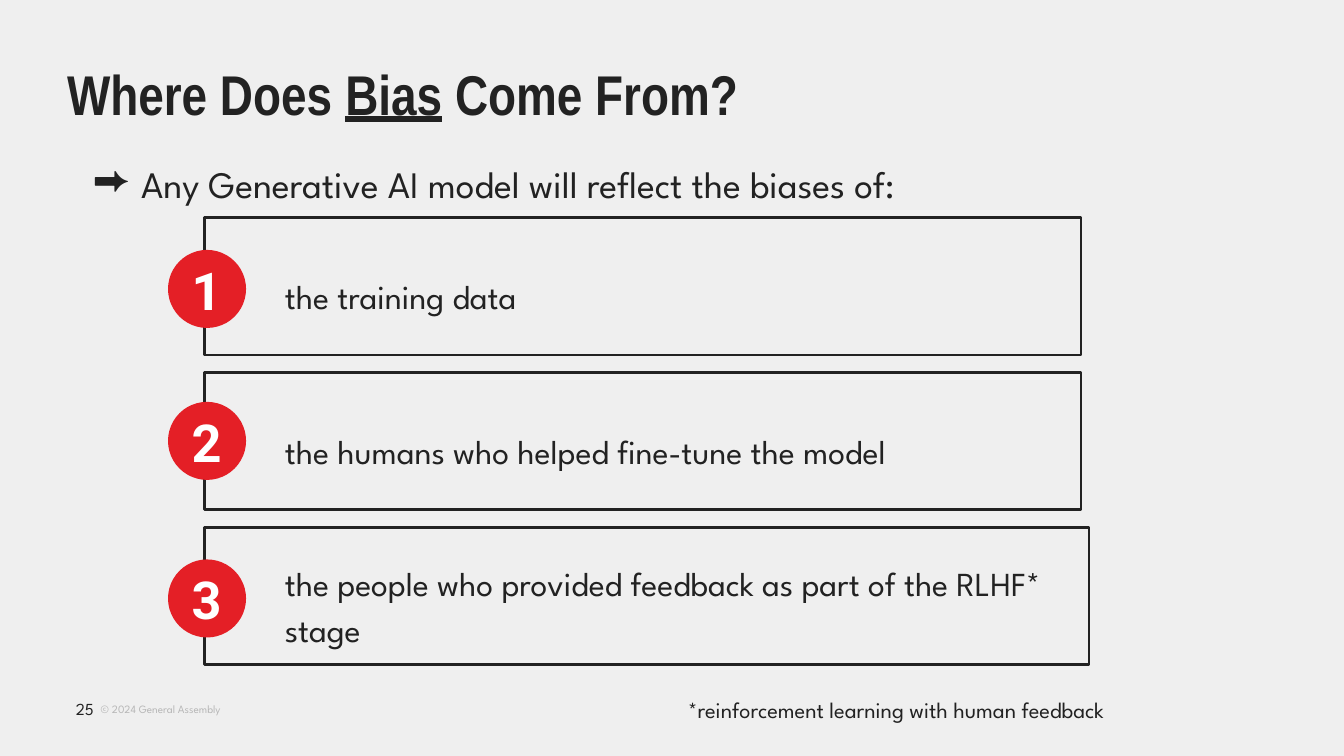
"""Build the slide on where bias in generative AI comes from."""
from lxml import etree
from pptx import Presentation
from pptx.dml.color import RGBColor
from pptx.enum.shapes import MSO_SHAPE
from pptx.enum.text import MSO_ANCHOR, PP_ALIGN
from pptx.oxml.ns import qn
from pptx.util import Pt

PAPER = RGBColor(0xEF, 0xEF, 0xEF)
INK = RGBColor(0x22, 0x22, 0x22)
GREY = RGBColor(0xB7, 0xB7, 0xB7)
RED = RGBColor(0xE4, 0x1F, 0x26)
WHITE = RGBColor(0xFF, 0xFF, 0xFF)

deck = Presentation()
deck.slide_width, deck.slide_height = Pt(720), Pt(405)
slide = deck.slides.add_slide(deck.slide_layouts[6])
slide.background.fill.solid()
slide.background.fill.fore_color.rgb = PAPER
shapes = slide.shapes


def write(text, area=None, shape=None, size=18, font="League Spartan", color=INK,
          bold=False, align=PP_ALIGN.LEFT, anchor=MSO_ANCHOR.MIDDLE, inset=(0, 0, 0, 0),
          line=None, after=None, left=0, hang=0, bullet=None):
    """Write text in a shape or a new box; parts between bars are underlined."""
    if shape is None:
        shape = shapes.add_textbox(*map(Pt, area))
    frame = shape.text_frame
    frame.word_wrap = True
    frame.vertical_anchor = anchor
    (frame.margin_left, frame.margin_top,
     frame.margin_right, frame.margin_bottom) = map(Pt, inset)
    para = frame.paragraphs[0]
    para.alignment = align
    if line:
        para.line_spacing = line
    if after:
        para.space_after = Pt(after)
    props = para._p.get_or_add_pPr()
    props.set("marL", str(Pt(left)))
    props.set("indent", str(Pt(hang)))
    if bullet:
        tint = etree.SubElement(props, qn("a:buClr"))
        etree.SubElement(tint, qn("a:srgbClr"), val=str(color))
        etree.SubElement(props, qn("a:buFont"), typeface=font)
        etree.SubElement(props, qn("a:buChar"), char=bullet)
    for i, part in enumerate(text.split("|")):
        run = para.add_run()
        run.text = part
        run.font.size, run.font.name = Pt(size), font
        run.font.bold = bold
        run.font.underline = i % 2 == 1
        run.font.color.rgb = color


write("© 2024 General Assembly", area=(54, 372.5, 72, 14.4), size=6, color=GREY)
write("Where Does |Bias| Come From?", area=(36, 36, 648, 36), size=30,
      font="Arial Narrow", bold=True, anchor=MSO_ANCHOR.TOP, line=0.9)
write("Any Generative AI model will reflect the biases of:",
      area=(39.6, 83, 594, 24.5), size=20, anchor=MSO_ANCHOR.TOP, line=1.15,
      after=10, left=36, hang=-25.9, bullet="⮕")
write("25", area=(25, 367.2, 25.2, 25.2), size=9, align=PP_ALIGN.RIGHT)
write("*reinforcement learning with human feedback", area=(361.6, 366.5, 272.2, 25.2),
      size=12, inset=(7.2,) * 4, line=1.15, after=10)

rows = [
    ("the training data", 469.5, 133.9),
    ("the humans who helped fine-tune the model", 469.5, 215.3),
    ("the people who provided feedback as part of the RLHF* stage", 473.8, 299.7),
]
for i, (text, width, top) in enumerate(rows):
    box = shapes.add_shape(MSO_SHAPE.ROUNDED_RECTANGLE, Pt(109.6), Pt(116.6 + 83 * i),
                           Pt(width), Pt(73.6))
    box.adjustments[0] = 0
    box.shadow.inherit = False
    box.fill.background()
    box.line.color.rgb, box.line.width = INK, Pt(1.5)
    write(text, shape=box, inset=(7.2, 14.4, 7.2, 7.2), line=1.15, after=10, left=36)

    disc = shapes.add_shape(MSO_SHAPE.OVAL, Pt(90), Pt(top), Pt(41.8), Pt(41.8))
    disc.shadow.inherit = False
    disc.fill.solid()
    disc.fill.fore_color.rgb = RED
    disc.line.fill.background()
    write(str(i + 1), area=(93, top - 3, 35.3, 48.2), size=28, font="Roboto",
          color=WHITE, bold=True, align=PP_ALIGN.CENTER, inset=(7.2,) * 4)

deck.save("out.pptx")
